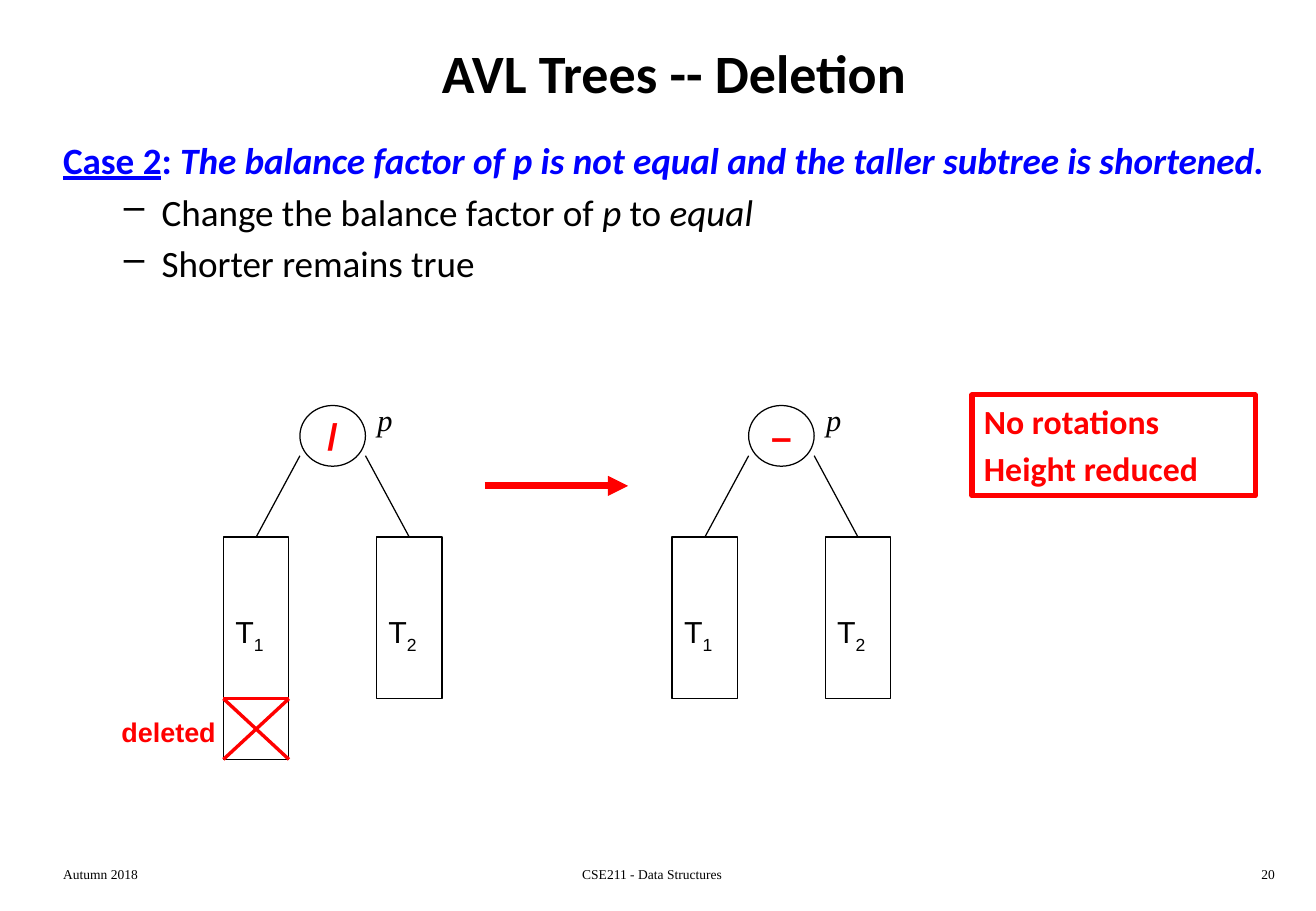
from dataclasses import dataclass

from lxml.etree import SubElement
from pptx import Presentation
from pptx.dml.color import RGBColor
from pptx.enum.shapes import MSO_CONNECTOR, MSO_SHAPE
from pptx.enum.text import MSO_ANCHOR, MSO_AUTO_SIZE, PP_ALIGN
from pptx.oxml.ns import qn
from pptx.util import Cm, Pt


@dataclass(frozen=True)
class Theme:
    black: RGBColor = RGBColor(0, 0, 0)
    red: RGBColor = RGBColor(255, 0, 0)
    blue: RGBColor = RGBColor(0, 0, 255)
    heading_font: str = "Calibri"
    label_font: str = "Arial"
    serif_font: str = "Times New Roman"
    title_size: int = 32
    body_size: int = 22
    outcome_size: int = 20
    label_size: int = 18
    deleted_size: int = 16
    footer_size: int = 8
    thin: float = 0.75
    cross: float = 2
    frame: float = 3
    arrow: float = 4


THEME = Theme()
SUBTREE_WIDTH, SUBTREE_TOP, SUBTREE_HEIGHT = 1.37, 11.23, 3.38
DELETED_HEIGHT = 1.27
NODE_TOP, NODE_HEIGHT, BRANCH_TOP = 8.48, 1.27, 9.53
NODE_OFFSET, RIGHT_OFFSET = 1.6, 3.2


def write(frame, *runs, new=False, font=THEME.label_font, size=THEME.label_size,
          color=THEME.black, align=PP_ALIGN.LEFT, space_before=0, **styles):
    """Write one paragraph; a run is a string or a (string, font overrides) pair."""
    paragraph = frame.add_paragraph() if new else frame.paragraphs[0]
    paragraph.alignment = align
    paragraph.space_before = Pt(space_before)
    for item in runs:
        words, overrides = (item, {}) if isinstance(item, str) else item
        run = paragraph.add_run()
        run.text = words
        run.font.name, run.font.size = font, Pt(size)
        run.font.color.rgb = color
        for style, value in {**styles, **overrides}.items():
            if style == "baseline":
                run.font._element.set("baseline", str(value))
            else:
                setattr(run.font, style, value)
    return paragraph


def text_area(slide, left, top, width, height):
    area = slide.shapes.add_textbox(Cm(left), Cm(top), Cm(width), Cm(height))
    area.text_frame.word_wrap = True
    return area.text_frame


def outline(slide, kind, left, top, width, height, color=THEME.black, weight=THEME.thin):
    shape = slide.shapes.add_shape(kind, Cm(left), Cm(top), Cm(width), Cm(height))
    shape.shadow.inherit = False
    shape.fill.background()
    shape.line.color.rgb = color
    shape.line.width = Pt(weight)
    return shape.text_frame


def line(slide, start, end, color=THEME.black, weight=THEME.thin, arrow=False):
    connector = slide.shapes.add_connector(
        MSO_CONNECTOR.STRAIGHT, *(Cm(value) for value in (*start, *end)))
    connector.line.color.rgb = color
    connector.line.width = Pt(weight)
    if arrow:
        SubElement(connector.line._get_or_add_ln(), qn("a:tailEnd"), type="triangle")
    SubElement(connector._element.spPr, qn("a:effectLst"))


def dash_bullet(paragraph):
    properties = paragraph._p.get_or_add_pPr()
    properties.set("marL", str(Cm(2.06)))
    properties.set("indent", str(Cm(-0.79)))
    SubElement(properties, qn("a:buChar"), char="–")


def add_title(slide):
    title = slide.shapes.title
    title.left, title.top, title.width, title.height = Cm(1.07), Cm(0.43), Cm(26.04), Cm(2.13)
    frame = title.text_frame
    frame.auto_size = MSO_AUTO_SIZE.NONE
    frame.vertical_anchor = MSO_ANCHOR.MIDDLE
    write(frame, "AVL Trees -- Deletion", font=THEME.heading_font,
          size=THEME.title_size, align=PP_ALIGN.CENTER, bold=True)


def add_case(slide):
    case = text_area(slide, 1.07, 2.74, 26.47, 4.01)
    body = {"font": THEME.heading_font, "size": THEME.body_size, "space_before": 4.4}
    write(case, ("Case 2", {"underline": True}), ": ",
          ("The balance factor of p is not equal and the taller subtree is shortened.",
           {"italic": True}), color=THEME.blue, bold=True, **body)
    italic = {"italic": True}
    steps = [("Change the balance factor of ", ("p ", italic), "to ", ("equal", italic)),
             ("Shorter remains true",)]
    for step in steps:
        dash_bullet(write(case, *step, new=True, **body))


def add_tree(slide, left, balance, deleted=False):
    """Draw node p with its balance sign above the subtrees T1 and T2."""
    node_left = left + NODE_OFFSET
    node_right = node_left + SUBTREE_WIDTH
    node = outline(slide, MSO_SHAPE.OVAL, node_left, NODE_TOP, SUBTREE_WIDTH, NODE_HEIGHT)
    node.margin_left = node.margin_right = node.margin_top = node.margin_bottom = 0
    node.vertical_anchor = MSO_ANCHOR.MIDDLE
    write(node, balance, size=THEME.body_size, color=THEME.red,
          align=PP_ALIGN.CENTER, bold=True)
    write(text_area(slide, node_right, 8.26, 1.6, 1.02), "p",
          font=THEME.serif_font, italic=True)

    subtrees = [("1", left, node_left, DELETED_HEIGHT if deleted else 0),
                ("2", left + RIGHT_OFFSET, node_right, 0)]
    for number, subtree_left, branch_left, extra in subtrees:
        outline(slide, MSO_SHAPE.RECTANGLE, subtree_left, SUBTREE_TOP,
                SUBTREE_WIDTH, SUBTREE_HEIGHT + extra)
        line(slide, (branch_left, BRANCH_TOP),
             (subtree_left + SUBTREE_WIDTH / 2, SUBTREE_TOP))
        write(text_area(slide, subtree_left, 12.7, SUBTREE_WIDTH, 1.02),
              "T", (number, {"baseline": -25000}))


def add_deleted_mark(slide, left):
    right, top = left + SUBTREE_WIDTH, SUBTREE_TOP + SUBTREE_HEIGHT
    bottom = top + DELETED_HEIGHT
    for start, end in [((left, top), (right, top)), ((left, top), (right, bottom)),
                       ((right, top), (left, bottom))]:
        line(slide, start, end, THEME.red, THEME.cross)
    write(text_area(slide, left - 2.38, 14.83, 3.2, 0.94), "deleted",
          size=THEME.deleted_size, color=THEME.red, bold=True)


def add_outcome(slide):
    outcome = outline(slide, MSO_SHAPE.RECTANGLE, 20.32, 8.26, 5.92, 2.11,
                      THEME.red, THEME.frame)
    outcome.vertical_anchor = MSO_ANCHOR.TOP
    for index, result in enumerate(["No rotations", "Height reduced"]):
        write(outcome, result, new=index > 0, font=THEME.heading_font,
              size=THEME.outcome_size, color=THEME.red, space_before=4, bold=True)


def add_footer(slide):
    for words, left, width, align in [
            ("Autumn 2018", 1.07, 5.74, PP_ALIGN.LEFT),
            ("CSE211 - Data Structures", 8.48, 10.31, PP_ALIGN.CENTER),
            ("20", 21.16, 5.74, PP_ALIGN.RIGHT)]:
        write(text_area(slide, left, 17.98, width, 0.64), words,
              font=THEME.serif_font, size=THEME.footer_size, align=align)


def main():
    deck = Presentation()
    deck.slide_width, deck.slide_height = Cm(27.51), Cm(19.05)
    slide = deck.slides.add_slide(deck.slide_layouts[5])
    before_left, after_left = 4.67, 14.05
    add_title(slide)
    add_case(slide)
    add_footer(slide)
    add_tree(slide, before_left, "/", deleted=True)
    add_deleted_mark(slide, before_left)
    add_tree(slide, after_left, "–")
    line(slide, (10.13, 10.16), (13.13, 10.16), THEME.red, THEME.arrow, arrow=True)
    add_outcome(slide)
    deck.save("out.pptx")


if __name__ == "__main__":
    main()
